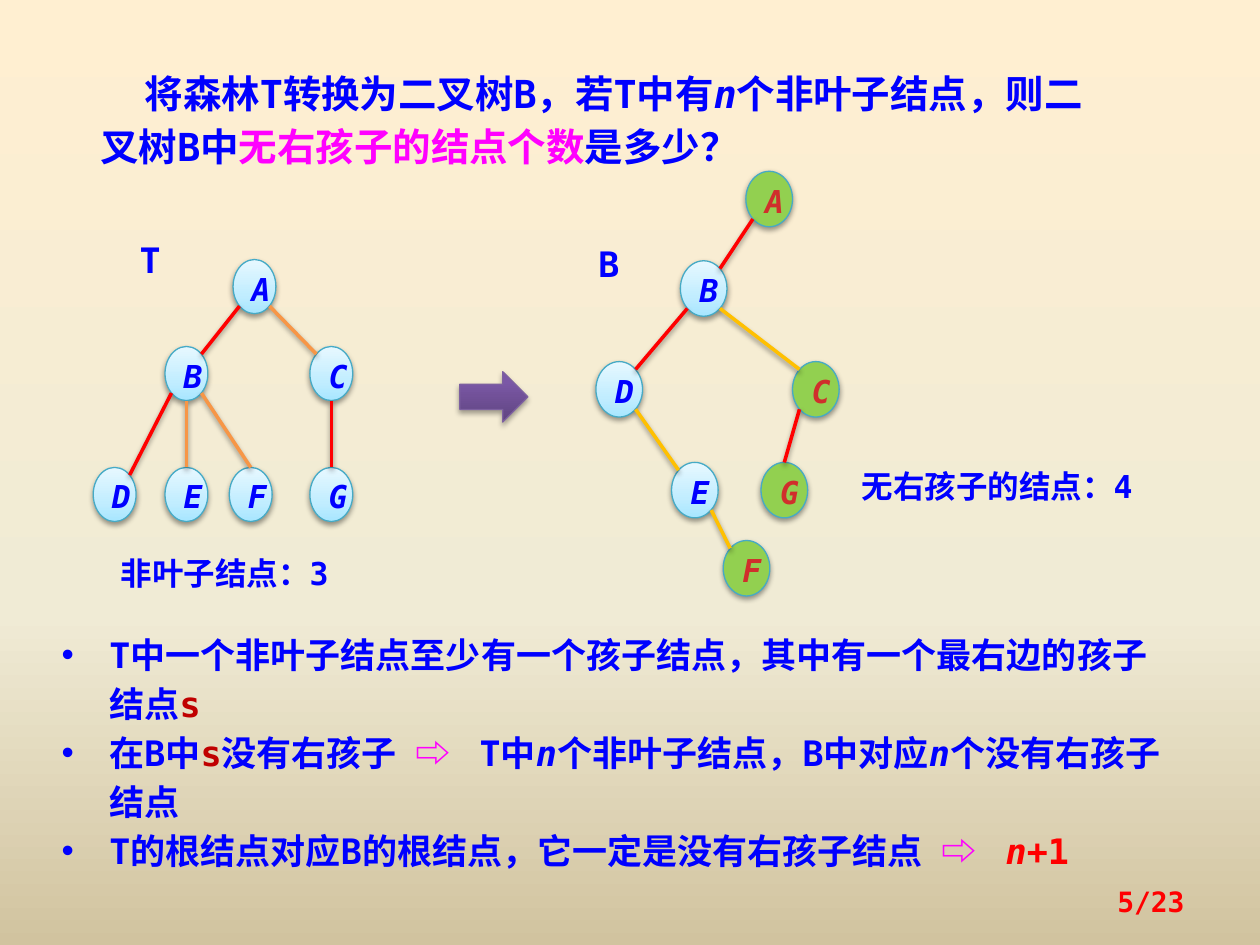
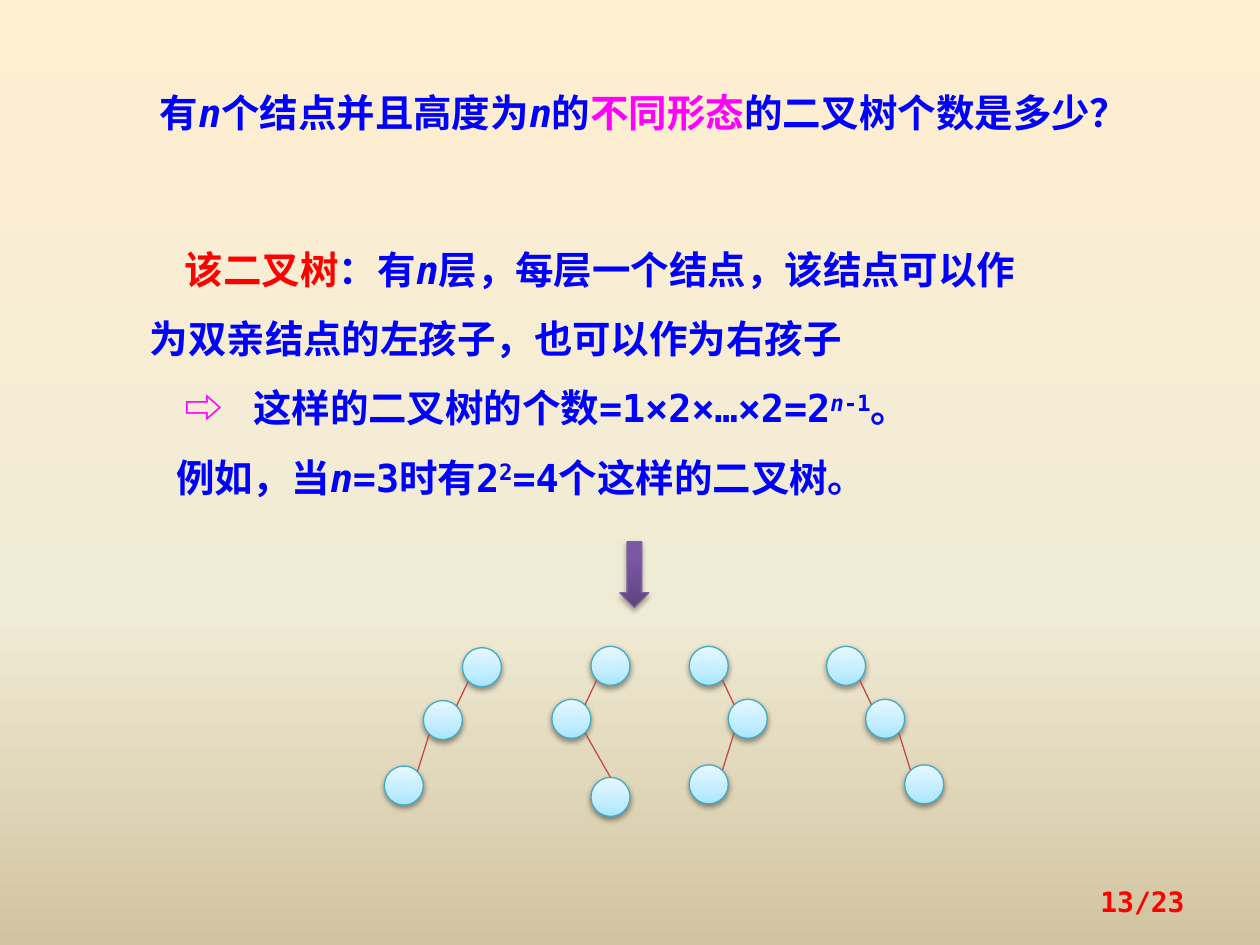
from lxml.etree import SubElement
from pptx import Presentation
from pptx.dml.color import RGBColor
from pptx.enum.shapes import MSO_CONNECTOR as Connector, MSO_SHAPE as Preset
from pptx.enum.text import MSO_ANCHOR as Anchor, MSO_AUTO_SIZE as AutoSize, PP_ALIGN as Align
from pptx.oxml.ns import qn
from pptx.util import Inches, Pt

FONT = "DejaVu Sans Mono"
COLORS = {
    "blue": "0000FF", "pink": "FF00FF", "red": "FF0000", "dark red": "C00000",
    "orange": "F79646", "gold": "FFC000", "brick": "BF4C48", "letter red": "D02F2C",
    "green": "92D050", "node line": "46AAC5", "arrow line": "7D60A0", "shadow": "000000",
}
# Gradient stops as (percent, colour), with the angle in degrees clockwise
GRADIENTS = {
    "page": ([(0, "FFEFD1"), (65, "F0EBD5"), (100, "D1C39F")], 90),
    "node": ([(0, "A7E6FF"), (35, "C1EDFF"), (100, "E7F8FF")], 270),
    "arrow": ([(0, "5F4480"), (80, "7B58A6"), (100, "7C57A8")], 270),
}

# A run is (text, colour, marks); marks: i italic, ^ raised, > letter-spaced
FOREST_QUESTION = [[
    ("将森林T转换为二叉树B，若T中有", "blue", ""), ("n", "blue", "i"),
    ("个非叶子结点，则二叉树B中", "blue", ""),
    ("无右孩子的结点个数", "pink", ""), ("是多少？", "blue", ""),
]]
FOREST_REASONS = [
    [("T中一个非叶子结点至少有一个孩子结点，其中有一个最右边的孩子结点", "blue", ""),
     ("s", "dark red", "")],
    [("在B中", "blue", ""), ("s", "dark red", ""), ("没有右孩子", "blue", ""),
     (" ⇨ ", "pink", ">"), ("T中", "blue", ""), ("n", "blue", "i"),
     ("个非叶子结点，B中对应", "blue", ""), ("n", "blue", "i"),
     ("个没有右孩子结点", "blue", "")],
    [("T的根结点对应B的根结点，它一定是没有右孩子结点", "blue", ""),
     (" ⇨ ", "pink", ">"), ("n", "red", "i"), ("+1", "red", "")],
]
FOREST_LABELS = [  # text, box, size
    ("B", (4.65, 1.79, 0.54, 0.52), 20),
    ("T", (1.01, 1.76, 0.54, 0.52), 20),
    ("非叶子结点：3", (0.86, 4.23, 2.25, 0.52), 18),
    ("无右孩子的结点：4", (6.74, 3.54, 2.71, 0.52), 18),
]
# Edge: parent, child, where it leaves, where it arrives, colour
FOREST_TREE = {
    "size": (0.34, 0.43), "marked": "",
    "nodes": {"A": (1.85, 2.06), "B": (1.31, 2.75), "C": (2.46, 2.75), "D": (0.74, 3.71),
              "E": (1.31, 3.71), "F": (1.82, 3.71), "G": (2.46, 3.71)},
    "edges": [("A", "B", "bottom left", "top right", "red"),
              ("A", "C", "bottom right", "top left", "orange"),
              ("B", "D", "bottom left", "top right", "red"),
              ("B", "E", "bottom", "top", "orange"),
              ("B", "F", "bottom right", "top", "orange"),
              ("C", "G", "bottom", "top", "red")],
}
BINARY_TREE = {
    "size": (0.37, 0.44), "marked": "ACFG",
    "nodes": {"A": (5.92, 1.36), "B": (5.4, 2.07), "C": (6.29, 2.87), "D": (4.73, 2.87),
              "E": (5.33, 3.67), "F": (5.74, 4.29), "G": (6.04, 3.67)},
    "edges": [("A", "B", "bottom left", "top right", "red"),
              ("B", "D", "bottom left", "top right", "red"),
              ("B", "C", "bottom right", "top left", "gold"),
              ("D", "E", "bottom right", "top left", "gold"),
              ("E", "F", "bottom right", "top left", "gold"),
              ("C", "G", "bottom left", "top", "red")],
}

SHAPE_QUESTION = [[
    ("有", "blue", ""), ("n", "blue", "i"), ("个结点并且高度为", "blue", ""),
    ("n", "blue", "i"), ("的", "blue", ""), ("不同形态", "pink", ""),
    ("的二叉树个数是多少？", "blue", ""),
]]
SHAPE_ANSWER = [
    [("该二叉树", "red", ""), ("：有", "blue", ""), ("n", "blue", "i"),
     ("层，每层一个结点，该结点可以作为双亲结点的左孩子，也可以作为右孩子", "blue", "")],
    [("⇨ ", "pink", ">"), ("这样的二叉树的个数=1×2×…×2=2", "blue", ""),
     ("n", "blue", "i^"), ("-1", "blue", "^"), ("。", "blue", "")],
    [("例如，当", "blue", ""), ("n", "blue", "i"), ("=3时有2", "blue", ""),
     ("2", "blue", "^"), ("=4个这样的二叉树。", "blue", "")],
]
# Root left, root top, turns going down, drop to the leaf, where the last edge arrives
CHAINS = [
    (3.67, 5.14, "LL", 0.52, "top right"),
    (4.69, 5.13, "LR", 0.62, "top"),
    (5.47, 5.13, "RL", 0.52, "top right"),
    (6.56, 5.13, "RR", 0.52, "top left"),
]
CHAIN_NODE, CHAIN_DROP = 0.31, 0.42

# Edge ends as fractions of a node's box
ENDS = {
    "top": (0.5, 0), "top left": (0.15, 0.14), "top right": (0.85, 0.14),
    "bottom": (0.5, 1), "bottom left": (0.15, 0.86), "bottom right": (0.85, 0.86),
}


def color(name):
    """Return a named colour."""
    return RGBColor.from_string(COLORS[name])


def set_gradient(fill, element, name):
    """Give a fill the named gradient; element is the XML that holds the fill."""
    stops, angle = GRADIENTS[name]
    fill.gradient()
    gradient = element.find(".//" + qn("a:gradFill"))
    stop_list = gradient.find(qn("a:gsLst"))
    for stop in list(stop_list):
        stop_list.remove(stop)
    for percent, value in stops:
        stop = SubElement(stop_list, qn("a:gs"), pos=str(percent * 1000))
        SubElement(stop, qn("a:srgbClr"), val=value)
    gradient.find(qn("a:lin")).set("ang", str(angle * 60000))


def add_effects(properties, alpha=0, distance=1.6):
    """Replace the theme shadow by a soft one below, or by none at alpha 0."""
    effects = SubElement(properties, qn("a:effectLst"))
    if alpha:
        shadow = SubElement(effects, qn("a:outerShdw"), blurRad=str(Pt(3.1)),
                            dist=str(Pt(distance)), dir="5400000", rotWithShape="0")
        tone = SubElement(shadow, qn("a:srgbClr"), val=COLORS["shadow"])
        SubElement(tone, qn("a:alpha"), val=str(alpha * 1000))


def add_run(paragraph, text, color_name, marks, size):
    """Add one bold run."""
    run = paragraph.add_run()
    run.text = text
    font = run.font
    font.name, font.size, font.bold = FONT, Pt(size), True
    font.color.rgb = color(color_name)
    font.italic = "i" in marks
    properties = run._r.get_or_add_rPr()
    if "^" in marks:
        properties.set("baseline", "30000")
    if ">" in marks:
        properties.set("spc", "600")


def add_text(slide, box, paragraphs, size, spacing=None, indents=(), bullets=False,
             align=None, anchor=Anchor.TOP):
    """Add a wrapping text box; indents are first-line indents in inches."""
    shape = slide.shapes.add_textbox(*map(Inches, box))
    frame = shape.text_frame
    frame.word_wrap, frame.vertical_anchor = True, anchor
    frame.auto_size = AutoSize.NONE if anchor == Anchor.MIDDLE else AutoSize.SHAPE_TO_FIT_TEXT
    for index, runs in enumerate(paragraphs):
        paragraph = frame.add_paragraph() if index else frame.paragraphs[0]
        paragraph.alignment, paragraph.line_spacing = align, spacing
        properties = paragraph._p.get_or_add_pPr()
        if indents:
            properties.set("indent", str(Inches(indents[index])))
        if bullets:
            properties.set("marL", str(Inches(0.38)))
            properties.set("indent", str(Inches(-0.38)))
            SubElement(properties, qn("a:buFont"), typeface="Arial")
            SubElement(properties, qn("a:buChar"), char="•")
        for run in runs:
            add_run(paragraph, *run, size)


def add_filled(slide, preset, box, fill_name, line_name, alpha, distance):
    """Add a shape with a plain or gradient fill, a thin outline and a shadow."""
    shape = slide.shapes.add_shape(preset, *map(Inches, box))
    if fill_name in GRADIENTS:
        set_gradient(shape.fill, shape._element.spPr, fill_name)
    else:
        shape.fill.solid()
        shape.fill.fore_color.rgb = color(fill_name)
    shape.line.color.rgb, shape.line.width = color(line_name), Pt(0.75)
    add_effects(shape._element.spPr, alpha, distance)
    return shape


def add_node(slide, place, size, letter="", marked=False):
    """Add a tree node, green with a red letter when marked."""
    node = add_filled(slide, Preset.OVAL, place + size, "green" if marked else "node",
                      "node line", 38, 1.6)
    if letter:
        paragraph = node.text_frame.paragraphs[0]
        paragraph.alignment, paragraph.line_spacing = Align.CENTER, 1.1
        paragraph.space_before = Pt(9)
        add_run(paragraph, letter, "letter red" if marked else "blue", "i", 18)


def add_edge(slide, parent, child, size, leaves, arrives, color_name, width, alpha):
    """Join two nodes, given by their top-left corners."""
    ends = [Inches(corner + length * part)
            for place, end in ((parent, leaves), (child, arrives))
            for corner, length, part in zip(place, size, ENDS[end])]
    edge = slide.shapes.add_connector(Connector.STRAIGHT, *ends)
    edge.line.color.rgb, edge.line.width = color(color_name), Pt(width)
    add_effects(edge._element.spPr, alpha)


def add_tree(slide, tree):
    """Add a lettered tree with its edges."""
    nodes, size = tree["nodes"], tree["size"]
    for letter, place in nodes.items():
        add_node(slide, place, size, letter, letter in tree["marked"])
    for parent, child, leaves, arrives, color_name in tree["edges"]:
        add_edge(slide, nodes[parent], nodes[child], size, leaves, arrives, color_name, 2, 38)


def add_chain(slide, left, top, turns, leaf_drop, last_end):
    """Add a three-node tree with one node on each level."""
    size = (CHAIN_NODE, CHAIN_NODE)
    places = [(left, top)]
    for turn, drop in zip(turns, (CHAIN_DROP, leaf_drop)):
        x, y = places[-1]
        places.append((x + (CHAIN_NODE if turn == "R" else -CHAIN_NODE), y + drop))
    for place in places:
        add_node(slide, place, size)
    first_end = "top left" if turns[0] == "R" else "top right"
    for parent, child, turn, end in zip(places, places[1:], turns, (first_end, last_end)):
        leaves = "bottom right" if turn == "R" else "bottom left"
        add_edge(slide, parent, child, size, leaves, end, "brick", 0.75, 0)


def add_page(presentation, number):
    """Add a blank slide with its page number."""
    slide = presentation.slides.add_slide(presentation.slide_layouts[6])
    add_text(slide, (7.17, 6.95, 2.33, 0.4), [[(f"{number}/23", "red", "")]], 16,
             align=Align.RIGHT, anchor=Anchor.MIDDLE)
    return slide


def build_forest_slide(presentation):
    """Build the slide that turns a forest into a binary tree."""
    slide = add_page(presentation, 5)
    add_text(slide, (0.7, 0.46, 8.2, 0.94), FOREST_QUESTION, 22, Pt(30), [0.35])
    add_filled(slide, Preset.RIGHT_ARROW, (3.65, 2.95, 0.54, 0.4), "arrow", "arrow line", 35, 1.8)
    add_tree(slide, FOREST_TREE)
    add_tree(slide, BINARY_TREE)
    for text, box, size in FOREST_LABELS:
        add_text(slide, box, [[(text, "blue", "")]], size, Pt(30))
    add_text(slide, (0.39, 4.92, 9.06, 2.06), FOREST_REASONS, 20, Pt(28), bullets=True)


def build_shape_slide(presentation):
    """Build the slide that counts the tallest binary trees."""
    slide = add_page(presentation, 13)
    add_text(slide, (1.17, 0.61, 8.13, 0.49), SHAPE_QUESTION, 22, Pt(30))
    add_text(slide, (1.09, 1.72, 7.27, 2.26), SHAPE_ANSWER, 22, 1.5, [0.28, 0.28, 0.21])
    for chain in CHAINS:
        add_chain(slide, *chain)
    add_filled(slide, Preset.DOWN_ARROW, (4.92, 4.3, 0.23, 0.52), "arrow", "arrow line", 35, 1.8)


presentation = Presentation()
presentation.slide_width, presentation.slide_height = Inches(10), Inches(7.5)
master = presentation.slide_master
set_gradient(master.background.fill, master.element, "page")
build_forest_slide(presentation)
build_shape_slide(presentation)
presentation.save("out.pptx")
